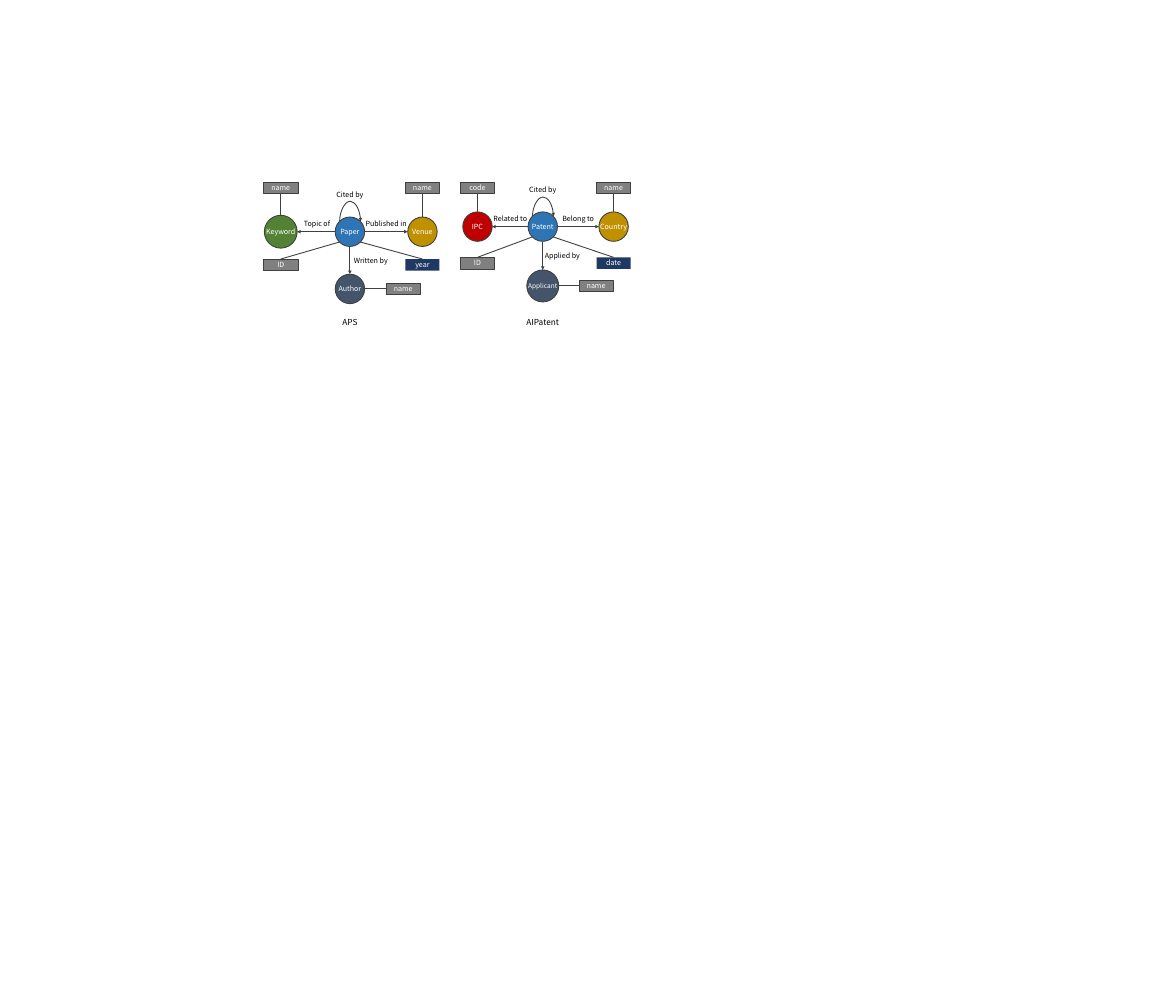
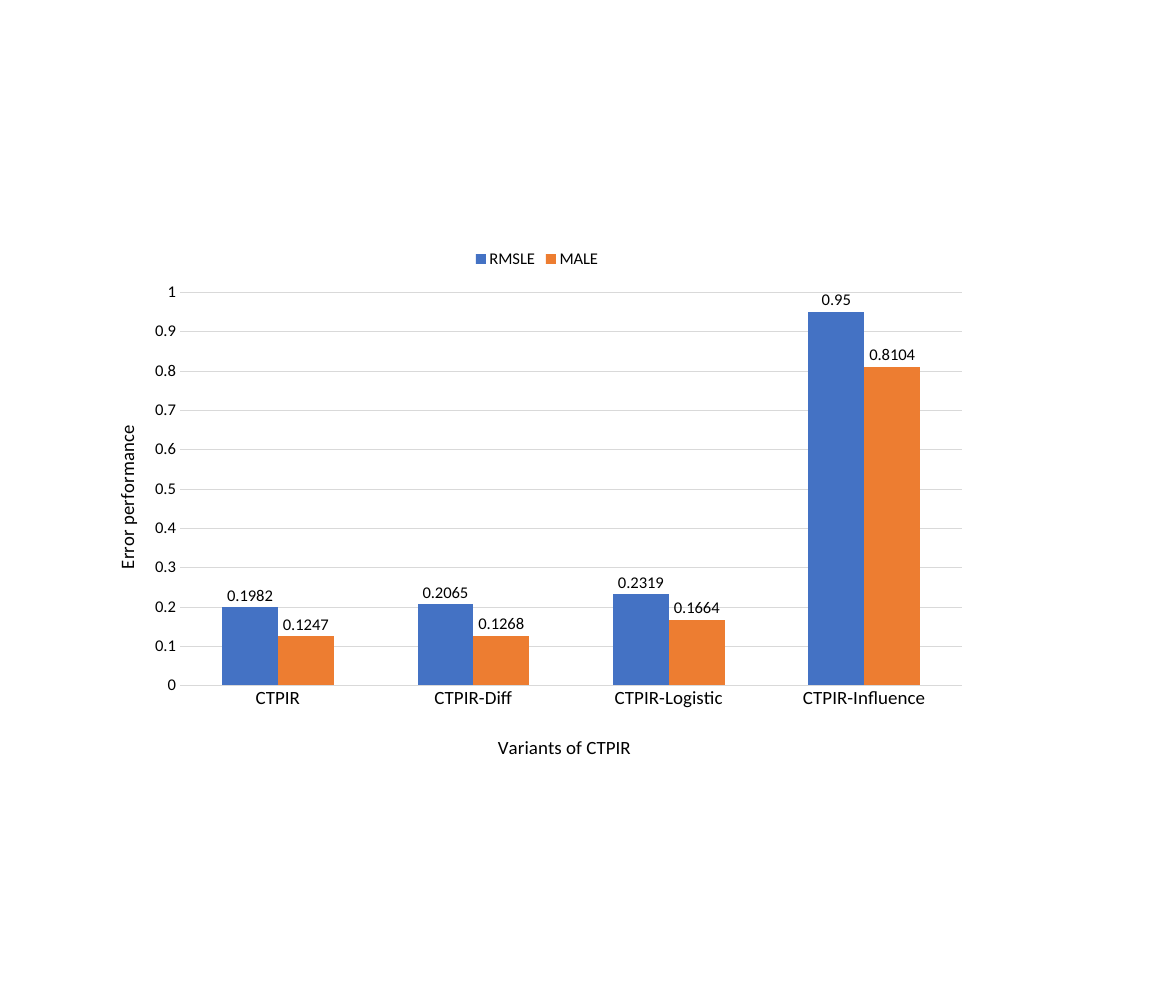
from dataclasses import dataclass

from pptx import Presentation
from pptx.chart.data import CategoryChartData
from pptx.dml.color import RGBColor
from pptx.enum.chart import XL_CHART_TYPE as ChartType
from pptx.enum.chart import XL_LABEL_POSITION as LabelPosition
from pptx.enum.chart import XL_LEGEND_POSITION as LegendPosition
from pptx.enum.chart import XL_TICK_MARK as TickMark
from pptx.enum.shapes import MSO_CONNECTOR as Connector
from pptx.enum.shapes import MSO_SHAPE as Shape
from pptx.enum.text import MSO_ANCHOR as Anchor
from pptx.enum.text import PP_ALIGN as Align
from pptx.oxml.ns import qn
from pptx.oxml.xmlchemy import OxmlElement
from pptx.util import Pt

EMU_PER_PX = 9144  # 100 px to the inch
WIDTH, HEIGHT = 2756, 2362

BLACK, WHITE, OUTLINE = "000000", "FFFFFF", "404040"
BLUE, RED, GREEN = "2E75B6", "C00000", "548235"
GOLD, SLATE, GREY, NAVY = "BF9000", "44546A", "808080", "203864"
GRID = "D9D9D9"

TAG_W, TAG_H = 80, 27
TOP_TAG_Y, CAPTION_Y = 427, 755
RIM = 24  # offset of the diagonal points on a hub's rim


def px(length):
    return int(length * EMU_PER_PX)


def rgb(hex_code):
    return RGBColor.from_string(hex_code)


def child(parent, tag, **attributes):
    node = OxmlElement(tag)
    for key, value in attributes.items():
        node.set(key, str(value))
    parent.append(node)
    return node


class Deck:
    diagram_font = "Noto Sans CJK SC"
    chart_font = "Calibri"

    def __init__(self):
        self.show = Presentation()
        self.show.slide_width, self.show.slide_height = px(WIDTH), px(HEIGHT)

    def new_slide(self):
        self.shapes = self.show.slides.add_slide(self.show.slide_layouts[6]).shapes

    def style_font(self, font, name, size, colour):
        font.name, font.size, font.bold = name, Pt(size), False
        font.color.rgb = rgb(colour)

    def put_text(self, shape, text, size, colour):
        frame = shape.text_frame
        frame.margin_left = frame.margin_right = 0
        frame.margin_top = frame.margin_bottom = 0
        frame.word_wrap = False
        frame.vertical_anchor = Anchor.MIDDLE
        paragraph = frame.paragraphs[0]
        paragraph.alignment = Align.CENTER
        run = paragraph.add_run()
        run.text = text
        self.style_font(run.font, self.diagram_font, size, colour)

    def filled(self, kind, box, text, fill, outline, size=12):
        shape = self.shapes.add_shape(kind, *map(px, box))
        shape.shadow.inherit = False
        shape.fill.solid()
        shape.fill.fore_color.rgb = rgb(fill)
        if outline:
            shape.line.color.rgb = rgb(OUTLINE)
            shape.line.width = Pt(outline)
        else:
            shape.line.fill.background()
        self.put_text(shape, text, size, WHITE)
        return shape

    def entity(self, text, cx, cy, diameter, fill, size=12):
        box = (cx - diameter / 2, cy - diameter / 2, diameter, diameter)
        return self.filled(Shape.OVAL, box, text, fill, 1.5, size)

    def tag(self, text, left, top, fill=GREY):
        outline = 1 if fill == GREY else 0
        return self.filled(Shape.RECTANGLE, (left, top, TAG_W, TAG_H), text, fill, outline)

    def label(self, text, cx, cy, size=12):
        w, h = 110, 30
        box = self.shapes.add_textbox(*map(px, (cx - w / 2, cy - h / 2, w, h)))
        self.put_text(box, text, size, BLACK)

    def link(self, start, end, arrow=False, kind=Connector.STRAIGHT):
        """Draw a line; an arrowhead, if any, sits at its start."""
        line = self.shapes.add_connector(kind, *map(px, (*start, *end)))
        line.line.color.rgb = rgb(OUTLINE)
        line.line.width = Pt(1.5)
        properties = line.element.spPr
        if arrow:
            child(properties.find(qn("a:ln")), "a:headEnd", type="triangle")
        child(properties, "a:effectLst")
        return line

    def self_loop(self, cx, cy, rise):
        """Curve from the upper right of a hub's rim over to its upper left."""
        loop = self.link((cx, cy - 2 * RIM - 1), (cx + 1, cy), True, Connector.CURVE)
        properties = loop.element.spPr
        frame = properties.find(qn("a:xfrm"))
        frame.set("rot", str(270 * 60000))
        frame.set("flipV", "1")
        geometry = properties.find(qn("a:prstGeom"))
        adjustments = geometry.find(qn("a:avLst"))
        if adjustments is None:
            adjustments = child(geometry, "a:avLst")
        child(adjustments, "a:gd", name="adj1", fmla=f"val {rise * 100000}")

    def place_part(self, part, **fractions):
        """Give a chart part a manual layout in fractions of the chart."""
        layout = part.find(qn("c:layout"))
        if layout is None:
            layout = OxmlElement("c:layout")
            part.insert(len(part.findall(qn("c:tx"))), layout)
        manual = child(layout, "c:manualLayout")
        if "w" in fractions:
            child(manual, "c:layoutTarget", val="inner")
        for side in "xy":
            child(manual, f"c:{side}Mode", val="edge")
        for side, value in fractions.items():
            child(manual, f"c:{side}", val=value)

    def axis_title(self, axis, text, x, y, rotation=0):
        frame = axis.axis_title.text_frame
        run = frame.paragraphs[0].add_run()
        run.text = text
        self.style_font(run.font, self.chart_font, 32, BLACK)
        title = axis.axis_title.element
        title.xpath(".//a:bodyPr")[0].set("rot", str(rotation * 60000))
        self.place_part(title, x=x, y=y)

    def column_chart(self, box, categories, series):
        data = CategoryChartData()
        data.categories = categories
        for name, _, values in series:
            data.add_series(name, values)
        chart = self.shapes.add_chart(
            ChartType.COLUMN_CLUSTERED, *map(px, box), data).chart
        self.style_font(chart.font, self.chart_font, 10, BLACK)
        chart.has_title = False

        # Legend
        chart.has_legend = True
        chart.legend.position = LegendPosition.TOP
        chart.legend.include_in_layout = False
        self.style_font(chart.legend.font, self.chart_font, 28, BLACK)

        # Columns and their values
        plot = chart.plots[0]
        plot.gap_width, plot.overlap = 150, 0
        plot.vary_by_categories = False
        for columns, (_, colour, _) in zip(plot.series, series):
            columns.format.fill.solid()
            columns.format.fill.fore_color.rgb = rgb(colour)
            labels = columns.data_labels
            labels.show_value = True
            labels.position = LabelPosition.OUTSIDE_END
            self.style_font(labels.font, self.chart_font, 28, BLACK)

        # Axes
        across, up = chart.category_axis, chart.value_axis
        self.style_font(across.tick_labels.font, self.chart_font, 32, BLACK)
        self.style_font(up.tick_labels.font, self.chart_font, 28, BLACK)
        across.major_tick_mark = TickMark.NONE
        up.major_tick_mark = TickMark.OUTSIDE
        up.minimum_scale, up.maximum_scale, up.major_unit = 0, 1, 0.1
        up.has_major_gridlines = True
        for line in (across.format.line, up.major_gridlines.format.line):
            line.color.rgb = rgb(GRID)
            line.width = Pt(0.75)
        up.format.line.fill.background()
        self.place_part(chart.element.xpath(".//c:plotArea")[0],
                        x=0.097, y=0.096, w=0.883, h=0.765)
        return chart


@dataclass
class Entity:
    """A circle: offset from the hub, its relation and where that is placed."""
    name: str
    offset: int
    diameter: int
    fill: str
    relation: str
    relation_offset: int
    attribute: str
    size: int = 12


@dataclass
class Schema:
    caption: str
    hub: str
    cx: int
    cy: int
    left: Entity
    right: Entity
    below: Entity
    time: str
    tag_drop: int
    loop_rise: int


def draw_schema(deck, schema):
    cx, cy = schema.cx, schema.cy
    hub_radius = 35
    deck.entity(schema.hub, cx, cy, 2 * hub_radius - 1, BLUE)
    deck.self_loop(cx, cy, schema.loop_rise)
    deck.label("Cited by", cx, cy - 87)

    # Entities beside the hub, with a tag above and a hub attribute below
    sides = ((-1, schema.left, "ID", GREY), (1, schema.right, schema.time, NAVY))
    for side, entity, attribute, fill in sides:
        x = cx + entity.offset
        circle = deck.entity(entity.name, x, cy, entity.diameter, entity.fill)
        inner_edge = x - side * entity.diameter / 2
        deck.link((inner_edge, cy), (cx + side * hub_radius, cy), arrow=True)
        deck.label(entity.relation, cx + entity.relation_offset, cy - 18)
        upper = deck.tag(entity.attribute, x - TAG_W / 2, TOP_TAG_Y)
        stem = deck.link((x, TOP_TAG_Y + TAG_H), (x, cy - entity.diameter / 2))
        stem.begin_connect(upper, 2)
        stem.end_connect(circle, 0)
        lower_y = cy + schema.tag_drop
        lower = deck.tag(attribute, x - TAG_W / 2, lower_y, fill)
        deck.link((x, lower_y), (cx + side * RIM, cy + RIM)).begin_connect(lower, 0)

    # Entity below the hub, with a tag to its right
    entity = schema.below
    y, radius = cy + entity.offset, entity.diameter / 2
    circle = deck.entity(entity.name, cx, y, entity.diameter, entity.fill, entity.size)
    arrow = deck.link((cx, y - radius), (cx, cy + hub_radius), arrow=True)
    arrow.begin_connect(circle, 0)
    deck.label(entity.relation, cx + entity.relation_offset, cy + 68)
    beside = deck.tag(entity.attribute, cx + 85, y - TAG_H / 2)
    deck.link((cx + 85, y), (cx + radius, y)).begin_connect(beside, 1)

    deck.label(schema.caption, cx, CAPTION_Y, 14)


SCHEMAS = (
    Schema("APS", "Paper", 820, 543,
           Entity("Keyword", -162, 77, GREEN, "Topic of", -77, "name"),
           Entity("Venue", 170, 69, GOLD, "Published in", 85, "name"),
           Entity("Author", 134, 69, SLATE, "Written by", 49, "name"),
           "year", 64, 48),
    Schema("AIPatent", "Patent", 1272, 531,
           Entity("IPC", -153, 69, RED, "Related to", -76, "code"),
           Entity("Country", 166, 69, GOLD, "Belong to", 83, "name"),
           Entity("Applicant", 139, 75, SLATE, "Applied by", 46, "name", 11),
           "date", 72, 46),
)

VARIANTS = ("CTPIR", "CTPIR-Diff", "CTPIR-Logistic", "CTPIR-Influence")
ERRORS = (
    ("RMSLE", "4472C4", (0.1982, 0.2065, 0.2319, 0.95)),
    ("MALE", "ED7D31", (0.1247, 0.1268, 0.1664, 0.8104)),
)


def main():
    deck = Deck()

    # Slide 1: the two graph schemas
    deck.new_slide()
    for schema in SCHEMAS:
        draw_schema(deck, schema)

    # Slide 2: errors of the variants
    deck.new_slide()
    chart = deck.column_chart((221, 569, 2075, 1225), VARIANTS, ERRORS)
    deck.axis_title(chart.category_axis, "Variants of CTPIR", 0.452, 0.95)
    deck.axis_title(chart.value_axis, "Error performance", 0.018, 0.352, -90)

    deck.show.save("out.pptx")


if __name__ == "__main__":
    main()
